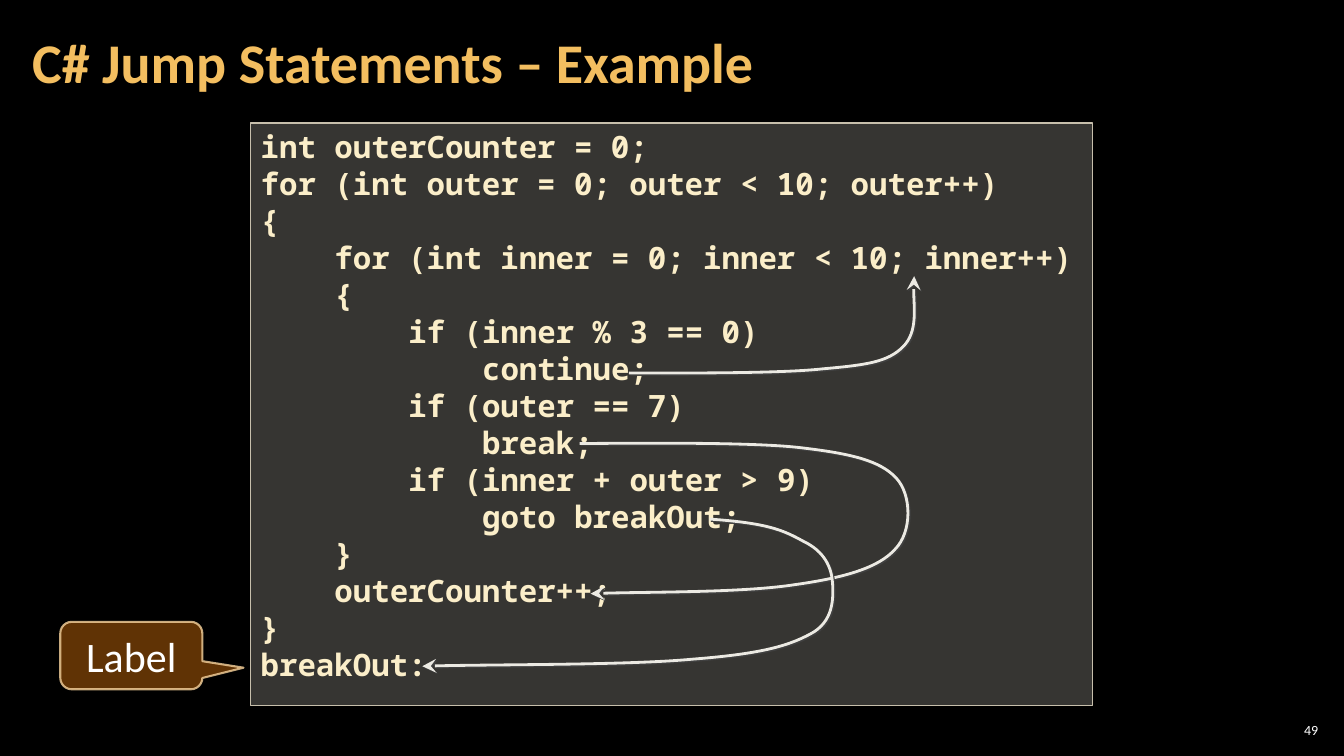
from pptx import Presentation
from pptx.dml.color import RGBColor
from pptx.enum import shapes, text
from pptx.oxml import parse_xml
from pptx.oxml import ns
from pptx.util import Cm, Pt

INCH = 2.54
TITLE = "C# Jump Statements – Example"
CODE = [
    (0, "int outerCounter = 0;"),
    (0, "for (int outer = 0; outer < 10; outer++)"),
    (0, "{"),
    (1, "for (int inner = 0; inner < 10; inner++)"),
    (1, "{"),
    (2, "if (inner % 3 == 0)"),
    (3, "continue;"),
    (2, "if (outer == 7)"),
    (3, "break;"),
    (2, "if (inner + outer > 9)"),
    (3, "goto breakOut;"),
    (1, "}"),
    (1, "outerCounter++;"),
    (0, "}"),
    (0, "breakOut:"),
]
CONTINUE_JUMP = [
    (6.24, 3.7), (6.56, 3.7), (7.71, 3.71), (8.16, 3.66), (8.61, 3.62),
    (8.81, 3.59), (8.96, 3.44), (9.11, 3.29), (9.05, 2.89), (9.07, 2.74),
]
BREAK_JUMP = [
    (5.75, 4.4), (6.12, 4.4), (7.4, 4.38), (7.93, 4.44), (8.45, 4.5),
    (8.73, 4.57), (8.89, 4.74), (9.05, 4.91), (9.05, 5.28), (8.88, 5.45),
    (8.72, 5.63), (8.39, 5.73), (7.89, 5.8), (7.38, 5.88), (6.28, 5.87), (5.86, 5.89),
]
GOTO_JUMP = [
    (7.04, 5.15), (7.62, 5.19), (7.77, 5.26), (7.97, 5.37), (8.18, 5.47),
    (8.25, 5.63), (8.26, 5.78), (8.27, 5.94), (8.27, 6.17), (8.04, 6.29),
    (7.8, 6.42), (7.51, 6.49), (6.87, 6.54), (6.23, 6.6), (4.75, 6.59), (4.19, 6.61),
]
INDENT = Cm(1.86)
LINE_PITCH = Pt(26.4)


def color(value):
    return RGBColor.from_string(value)


def element(tag, **attributes):
    node = parse_xml(f"<a:{tag} {ns.nsdecls('a')}/>")
    for name, value in attributes.items():
        node.set(name, str(value))
    return node


def box(left, top, width, height):
    return [Cm(round(value * INCH, 2)) for value in (left, top, width, height)]


def write(paragraph, content, size, fill, font="Calibri", bold=False,
          align=text.PP_ALIGN.LEFT, spacing=None):
    paragraph.alignment = align
    paragraph.line_spacing = spacing
    run = paragraph.add_run()
    run.text = content
    run.font.name, run.font.size, run.font.bold = font, Pt(size), bold
    run.font.color.rgb = color(fill)


def set_frame(shape, anchor, margins=(0.25, 0.13, 0.25, 0.13)):
    frame = shape.text_frame
    frame.word_wrap = True
    frame.auto_size = text.MSO_AUTO_SIZE.NONE
    frame.vertical_anchor = anchor
    frame.margin_left, frame.margin_top, frame.margin_right, frame.margin_bottom = map(Cm, margins)
    return frame


def set_alpha(fill_parent, percent):
    rgb = fill_parent.find(ns.qn("a:solidFill")).find(ns.qn("a:srgbClr"))
    rgb.append(element("alpha", val=percent * 1000))


def add_panel(slide, kind, place, fill, line, width):
    shape = slide.shapes.add_shape(kind, *box(*place))
    shape.shadow.inherit = False
    shape.fill.solid()
    shape.fill.fore_color.rgb = color(fill)
    shape.line.color.rgb = color(line)
    shape.line.width = Pt(width)
    return shape


def add_jump(slide, points):
    points = [(Cm(x * INCH), Cm(y * INCH)) for x, y in points]
    builder = slide.shapes.build_freeform(*points[0])
    builder.add_line_segments(points[1:], close=False)
    shape = builder.convert_to_shape()
    shape.fill.background()
    shape.line.color.rgb = color("ECEAE3")
    shape.line.width = Pt(2)
    shape.line._get_or_add_ln().append(element("tailEnd", type="stealth", w="lg", len="lg"))

    segments = list(shape._element.iter(ns.qn("a:lnTo")))
    for start in range(0, len(segments), 3):
        curve = element("cubicBezTo")
        segments[start].addprevious(curve)
        for segment in segments[start:start + 3]:
            curve.append(segment[0])
            segment.getparent().remove(segment)

    shape.shadow.inherit = False
    shadow = element("outerShdw", blurRad=0, dist=Pt(1.4), dir=45 * 60000, algn="ctr", rotWithShape=0)
    shadow.append(element("srgbClr", val="404040"))
    shape._element.spPr.find(ns.qn("a:effectLst")).append(shadow)


def main():
    presentation = Presentation()
    presentation.slide_width, presentation.slide_height = box(0, 0, 13.333, 7.5)[2:]
    slide = presentation.slides.add_slide(presentation.slide_layouts[5])
    slide.background.fill.solid()
    slide.background.fill.fore_color.rgb = color("000000")

    title = slide.shapes.title
    title.left, title.top, title.width, title.height = box(0.2, 0.04, 10.47, 1.21)
    frame = set_frame(title, text.MSO_ANCHOR.MIDDLE, (0.3, 0.1, 0.3, 0.1))
    write(frame.paragraphs[0], TITLE, 40, "F3BE60", bold=True, spacing=0.9)

    panel = add_panel(slide, shapes.MSO_SHAPE.RECTANGLE, (2.49, 1.22, 8.35, 5.78),
                      "363532", "C7BFAC", 1)
    frame = set_frame(panel, text.MSO_ANCHOR.TOP)
    for number, (depth, statement) in enumerate(CODE):
        paragraph = frame.add_paragraph() if number else frame.paragraphs[0]
        write(paragraph, statement, 22, "FBEEC9", "Noto Sans Mono", True, spacing=LINE_PITCH)
        properties = paragraph._p.get_or_add_pPr()
        properties.set("marL", str(depth * INDENT))
        properties.set("indent", "0")

    for points in (CONTINUE_JUMP, BREAK_JUMP, GOTO_JUMP):
        add_jump(slide, points)

    callout = add_panel(slide, shapes.MSO_SHAPE.ROUNDED_RECTANGULAR_CALLOUT,
                        (0.6, 6.17, 1.41, 0.67), "663606", "F8D49E", 1.5)
    set_alpha(callout._element.spPr, 95)
    set_alpha(callout.line._get_or_add_ln(), 80)
    for index, value in enumerate((0.79, 0.18, 0.17)):
        callout.adjustments[index] = value
    frame = set_frame(callout, text.MSO_ANCHOR.MIDDLE)
    write(frame.paragraphs[0], "Label", 30, "FFFFFF", align=text.PP_ALIGN.CENTER)

    page = slide.shapes.add_textbox(*box(12.65, 7.14, 0.47, 0.21))
    frame = set_frame(page, text.MSO_ANCHOR.MIDDLE, (0.1, 0.1, 0.1, 0.1))
    write(frame.paragraphs[0], "49", 10, "FFFFFF", align=text.PP_ALIGN.RIGHT)

    presentation.save("out.pptx")


if __name__ == "__main__":
    main()
